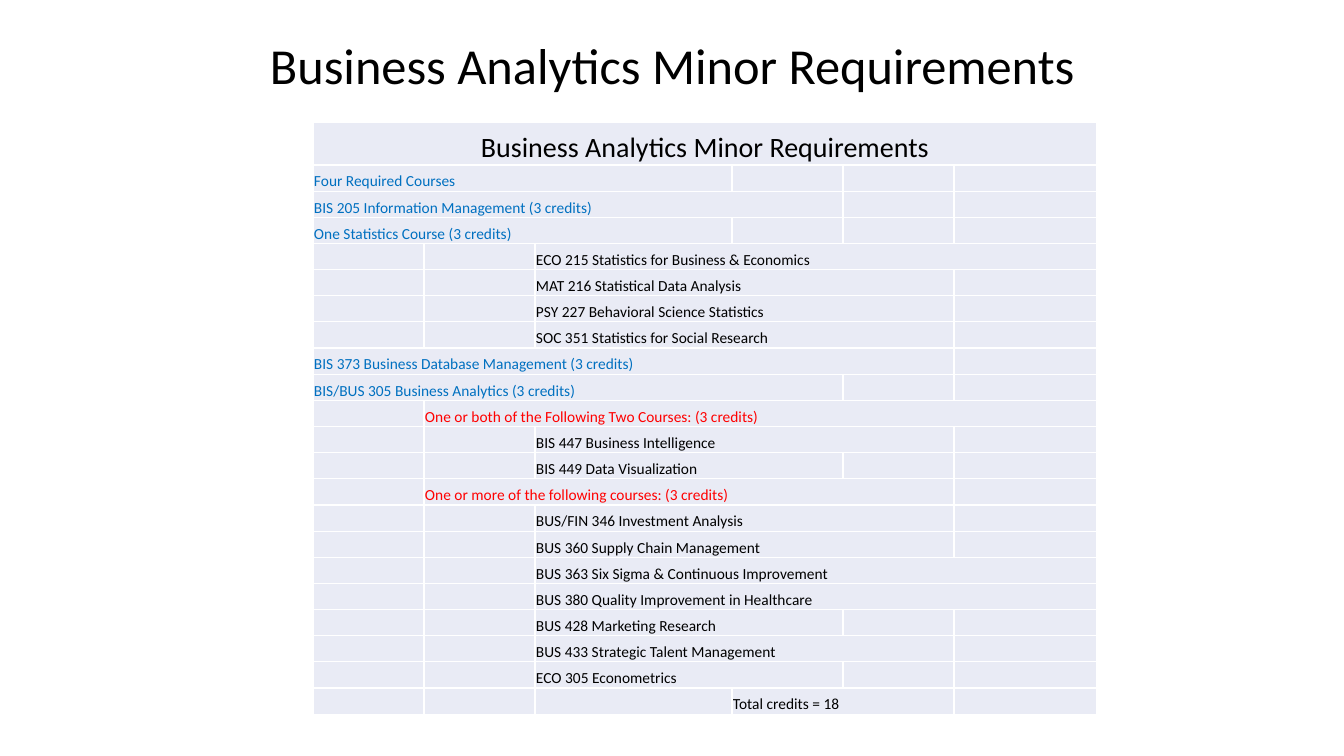
import pptx
import pptx.dml.color
import pptx.enum.text
import pptx.oxml.ns
import pptx.util
from lxml import etree

EMU_PER_PX = 914400 / 100.8
FONT = "Calibri"
COLORS = {
    "black": "000000",
    "blue": "0070C0",
    "red": "FF0000",
    "cell": "E9EBF5",
    "border": "FFFFFF",
}
HEADING = "Business Analytics Minor Requirements"
COLUMN_WIDTHS = [111, 111, 197, 111, 111, 143]
HEADER_HEIGHT = 43
BODY_HEIGHT = 550
COURSES = [
    ("Four Required Courses", "blue", 0, 3),
    ("BIS 205 Information Management (3 credits)", "blue", 0, 4),
    ("One Statistics Course (3 credits)", "blue", 0, 3),
    ("ECO 215 Statistics for Business & Economics", "black", 2, 4),
    ("MAT 216 Statistical Data Analysis", "black", 2, 3),
    ("PSY 227 Behavioral Science Statistics", "black", 2, 3),
    ("SOC 351 Statistics for Social Research", "black", 2, 3),
    ("BIS 373 Business Database Management (3 credits)", "blue", 0, 5),
    ("BIS/BUS 305 Business Analytics (3 credits)", "blue", 0, 4),
    ("One or both of the Following Two Courses: (3 credits)", "red", 1, 5),
    ("BIS 447 Business Intelligence", "black", 2, 3),
    ("BIS 449 Data Visualization", "black", 2, 2),
    ("One or more of the following courses: (3 credits)", "red", 1, 4),
    ("BUS/FIN 346 Investment Analysis", "black", 2, 3),
    ("BUS 360 Supply Chain Management", "black", 2, 3),
    ("BUS 363 Six Sigma & Continuous Improvement", "black", 2, 4),
    ("BUS 380 Quality Improvement in Healthcare", "black", 2, 4),
    ("BUS 428 Marketing Research", "black", 2, 2),
    ("BUS 433 Strategic Talent Management", "black", 2, 3),
    ("ECO 305 Econometrics", "black", 2, 2),
    ("Total credits = 18", "black", 3, 2),
]


def px(length):
    """Turn a length in px into EMU."""
    return pptx.util.Emu(round(length * EMU_PER_PX))


def rgb(name):
    """Look up a named colour."""
    return pptx.dml.color.RGBColor.from_string(COLORS[name])


def add_run(paragraph, text, size, color):
    """Add one formatted run to a paragraph."""
    run = paragraph.add_run()
    run.text = text
    run.font.name = FONT
    run.font.size = pptx.util.Pt(size)
    run.font.color.rgb = rgb(color)


def add_title(slide):
    """Add the centred slide title."""
    shape = slide.shapes.add_textbox(px(93), px(40), px(1159), px(57))
    frame = shape.text_frame
    frame.word_wrap = True
    frame.vertical_anchor = pptx.enum.text.MSO_ANCHOR.MIDDLE
    paragraph = frame.paragraphs[0]
    paragraph.alignment = pptx.enum.text.PP_ALIGN.CENTER
    paragraph.line_spacing = 0.9
    add_run(paragraph, HEADING, 36, "black")


def add_borders(cell):
    """Draw thin lines on all four sides of a cell."""
    properties = cell._tc.get_or_add_tcPr()
    qn = pptx.oxml.ns.qn
    for side in ("a:lnL", "a:lnR", "a:lnT", "a:lnB"):
        line = etree.SubElement(properties, qn(side), w="12700")
        fill = etree.SubElement(line, qn("a:solidFill"))
        etree.SubElement(fill, qn("a:srgbClr"), val=COLORS["border"])


def format_cell(cell):
    """Give a cell its borders, fill, margins and small empty line."""
    add_borders(cell)
    cell.fill.solid()
    cell.fill.fore_color.rgb = rgb("cell")
    cell.margin_left = cell.margin_right = cell.margin_top = px(1)
    cell.margin_bottom = 0
    cell.vertical_anchor = pptx.enum.text.MSO_ANCHOR.BOTTOM
    paragraph = cell.text_frame.paragraphs[0]
    etree.SubElement(paragraph._p, pptx.oxml.ns.qn("a:endParaRPr"), sz="1100")


def fill_row(table, row, text, size, color, first, span):
    """Merge a run of cells in a row and write its text."""
    cell = table.cell(row, first)
    cell.merge(table.cell(row, first + span - 1))
    paragraph = cell.text_frame.paragraphs[0]
    add_run(paragraph, text, size, color)
    return paragraph


def add_requirements(slide):
    """Add the table of required and elective courses."""
    shape = slide.shapes.add_table(
        len(COURSES) + 1, len(COLUMN_WIDTHS), px(313), px(122),
        px(sum(COLUMN_WIDTHS)), px(HEADER_HEIGHT + BODY_HEIGHT))
    table = shape.table
    table.first_row = table.horz_banding = False
    for column, width in zip(table.columns, COLUMN_WIDTHS):
        column.width = px(width)
    for row in table.rows:
        row.height = px(BODY_HEIGHT / len(COURSES))
    table.rows[0].height = px(HEADER_HEIGHT)
    for cell in table.iter_cells():
        format_cell(cell)
    header = fill_row(table, 0, HEADING, 20, "black", 0, len(COLUMN_WIDTHS))
    header.alignment = pptx.enum.text.PP_ALIGN.CENTER
    for row, (text, color, first, span) in enumerate(COURSES, start=1):
        fill_row(table, row, text, 11, color, first, span)


def main():
    """Build and save the slide."""
    presentation = pptx.Presentation()
    presentation.slide_width = px(1344)
    presentation.slide_height = px(756)
    slide = presentation.slides.add_slide(presentation.slide_layouts[6])
    add_title(slide)
    add_requirements(slide)
    presentation.save("out.pptx")


if __name__ == "__main__":
    main()
